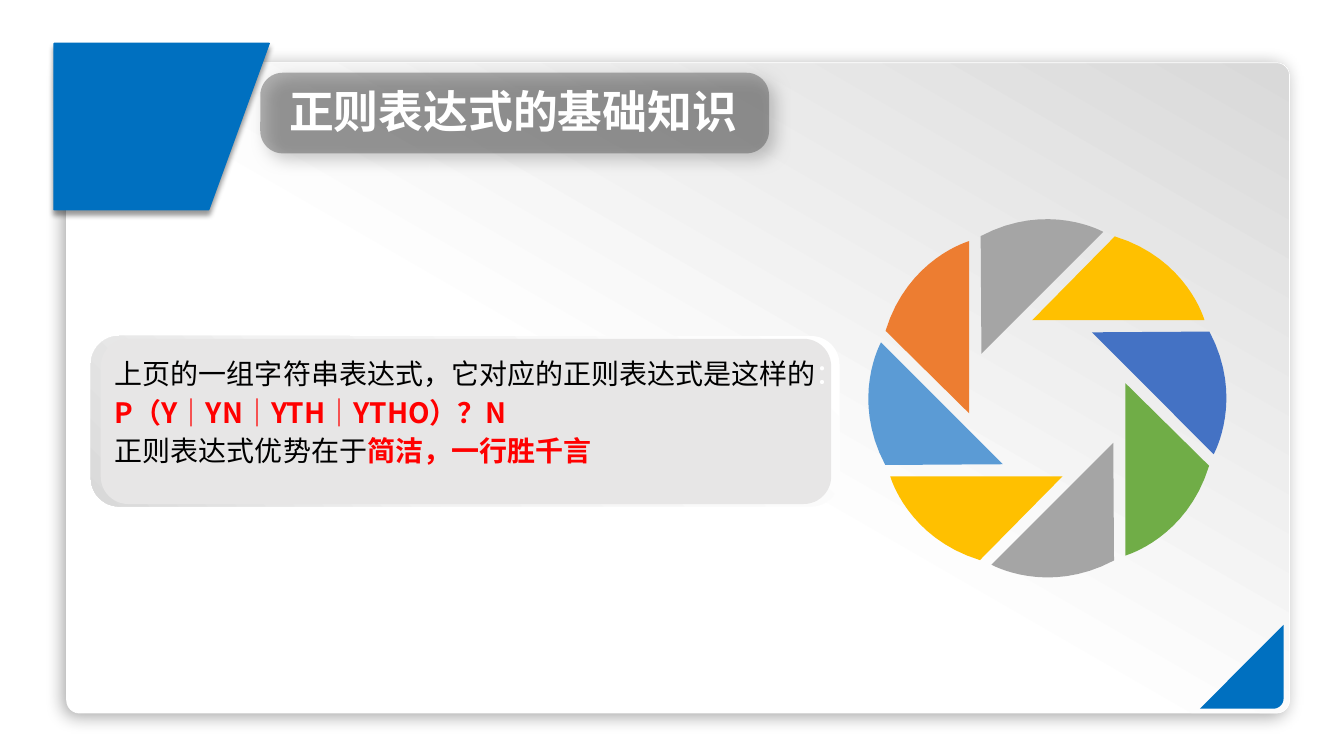
import copy
import math
import pptx
import pptx.dml.color
import pptx.enum.shapes
import pptx.enum.text
import pptx.oxml.ns
import pptx.util
from lxml import etree

Pt = pptx.util.Pt
qn = pptx.oxml.ns.qn
ROUNDED = pptx.enum.shapes.MSO_SHAPE.ROUNDED_RECTANGLE
FONT = "Noto Sans CJK SC"
BLUE = "0070C0"
hex_color = pptx.dml.color.RGBColor.from_string


def style(shape, stops, angle=0, opacity=100, line=None, shadow=None):
    properties = shape._element.spPr
    if isinstance(stops, str):
        shape.fill.solid()
        shape.fill.fore_color.rgb = hex_color(stops)
        if opacity < 100:
            color = properties.find(qn("a:solidFill"))[0]
            etree.SubElement(color, qn("a:alpha"), val=str(opacity * 1000))
    else:
        shape.fill.gradient()
        stop_list = properties.find(qn("a:gradFill")).find(qn("a:gsLst"))
        for _ in stops[2:]:
            stop_list.append(copy.deepcopy(stop_list[-1]))
        for stop, (position, color) in zip(shape.fill.gradient_stops, stops):
            stop.position = position
            stop.color.rgb = hex_color(color)
        shape.fill.gradient_angle = angle
    if line:
        shape.line.color.rgb = hex_color(line[0])
        shape.line.width = Pt(line[1])
    else:
        shape.line.fill.background()
    shape.shadow.inherit = False
    if shadow:
        alpha, blur, distance, direction = shadow
        outer = etree.SubElement(
            properties.find(qn("a:effectLst")), qn("a:outerShdw"),
            blurRad=str(Pt(blur)), dist=str(Pt(distance)),
            dir=str(direction * 60000), algn="ctr", rotWithShape="0")
        black = etree.SubElement(outer, qn("a:srgbClr"), val="000000")
        etree.SubElement(black, qn("a:alpha"), val=str(alpha * 1000))


def outline(points):
    corners = [(Pt(x), Pt(y)) for x, y in points]
    builder = slide.shapes.build_freeform(*corners[0], scale=1.0)
    builder.add_line_segments(corners[1:], close=True)
    return builder.convert_to_shape()


presentation = pptx.Presentation()
presentation.slide_width = Pt(960.48)
presentation.slide_height = Pt(540)
slide = presentation.slides.add_slide(presentation.slide_layouts[1])
shapes = slide.shapes
title = shapes.title
body = slide.placeholders[1]

panel = shapes.add_shape(ROUNDED, Pt(47.6), Pt(44.8), Pt(874), Pt(464.6))
panel.adjustments[0] = 0.02
style(panel, [(0.45, "FFFFFF"), (1, "D9D9D9")], angle=60,
      line=("FFFFFF", 0.5), shadow=(34, 12, 3, 135))

rounded_corner = [(910.1 + 7.2 * math.cos(math.radians(degrees)),
                   499 + 7.2 * math.sin(math.radians(degrees)))
                  for degrees in range(0, 91, 10)]
style(outline([(917.3, 446.4), *rounded_corner, (857.5, 506.2)]), BLUE)

flag = outline([(192.4, 31), (38.7, 31), (38.7, 149.8), (149.2, 149.8)])
style(flag, BLUE, line=(BLUE, 1), shadow=(40, 4, 3, 90))

center_x, center_y = 748.5, 284.5
tip, arc_start, arc_control, arc_end = (
    (55.8, -10.8), (55.8, 112.3), (99.7, 100), (115.6, 48.2))
blade = [tip]
for step in range(17):
    t = step / 16
    blade.append(tuple(
        ((1 - t) ** 3 + 3 * t * (1 - t) ** 2) * start
        + 3 * t ** 2 * (1 - t) * control + t ** 3 * end
        for start, control, end in zip(arc_start, arc_control, arc_end)))
blade_colors = ["70AD47", "4472C4", "FFC000", "A5A5A5",
                "ED7D31", "5B9BD5", "FFC000", "A5A5A5"]
for index, color in enumerate(blade_colors):
    cosine = math.cos(index * math.pi / 4)
    sine = math.sin(index * math.pi / 4)
    style(outline([(center_x + x * cosine + y * sine,
                    center_y - x * sine + y * cosine) for x, y in blade]), color)

card_edge = shapes.add_shape(ROUNDED, Pt(65), Pt(240), Pt(535), Pt(121.7))
style(card_edge, [(0, "FFFFFF"), (0.62, "F2F2F2"), (1, "D9D9D9")], angle=225)
card = shapes.add_shape(ROUNDED, Pt(72), Pt(242), Pt(522), Pt(118))
style(card, "E7E6E6")

title_plate = shapes.add_shape(ROUNDED, Pt(186), Pt(52), Pt(363.6), Pt(57.6))
title_plate.adjustments[0] = 0.28
style(title_plate, "404040", opacity=40, shadow=(50, 12, 6, 45))

body_lines = [
    [("上页的一组字符串表达式，它对应的正则表达式是这样的", "000000", False),
     ("：", "FFFFFF", False)],
    [("P（Y｜YN｜YTH｜YTHO）？N", "FF0000", True)],
    [("正则表达式优势在于", "000000", False),
     ("简洁，一行胜千言", "FF0000", True)],
]
title_lines = [[("正则表达式的基础知识", "FFFFFF", True)]]
text_formats = [
    (body, body_lines, 20, 18, 0.9,
     {"left": Pt(38.9), "top": Pt(254), "width": Pt(596), "height": Pt(124.6)},
     {"vertical_anchor": pptx.enum.text.MSO_ANCHOR.TOP, "word_wrap": True}),
    (title, title_lines, 32, 0, 1.0,
     {"left": Pt(199.4), "top": Pt(56.2), "width": Pt(337.7), "height": Pt(46)},
     {"vertical_anchor": pptx.enum.text.MSO_ANCHOR.MIDDLE, "word_wrap": False}),
]
for shape, lines, size, indent, spacing, place, frame_format in text_formats:
    shapes._spTree.append(shape._element)
    for name, value in place.items():
        setattr(shape, name, value)
    frame = shape.text_frame
    frame.auto_size = pptx.enum.text.MSO_AUTO_SIZE.NONE
    for name, value in frame_format.items():
        setattr(frame, name, value)
    for number, runs in enumerate(lines):
        paragraph = frame.add_paragraph() if number else frame.paragraphs[0]
        paragraph_properties = paragraph._p.get_or_add_pPr()
        paragraph_properties.set("marL", str(Pt(indent)))
        paragraph_properties.set("indent", str(Pt(indent)))
        etree.SubElement(paragraph_properties, qn("a:buNone"))
        paragraph_format = {"alignment": pptx.enum.text.PP_ALIGN.LEFT,
                            "line_spacing": spacing,
                            "space_before": Pt(5.7 if number else 0)}
        for name, value in paragraph_format.items():
            setattr(paragraph, name, value)
        for text, color, bold in runs:
            run = paragraph.add_run()
            run.text = text
            run.font.color.rgb = hex_color(color)
            for name, value in {"size": Pt(size), "bold": bold, "name": FONT}.items():
                setattr(run.font, name, value)
            etree.SubElement(run._r.get_or_add_rPr(), qn("a:ea"), typeface=FONT)

presentation.save("out.pptx")
